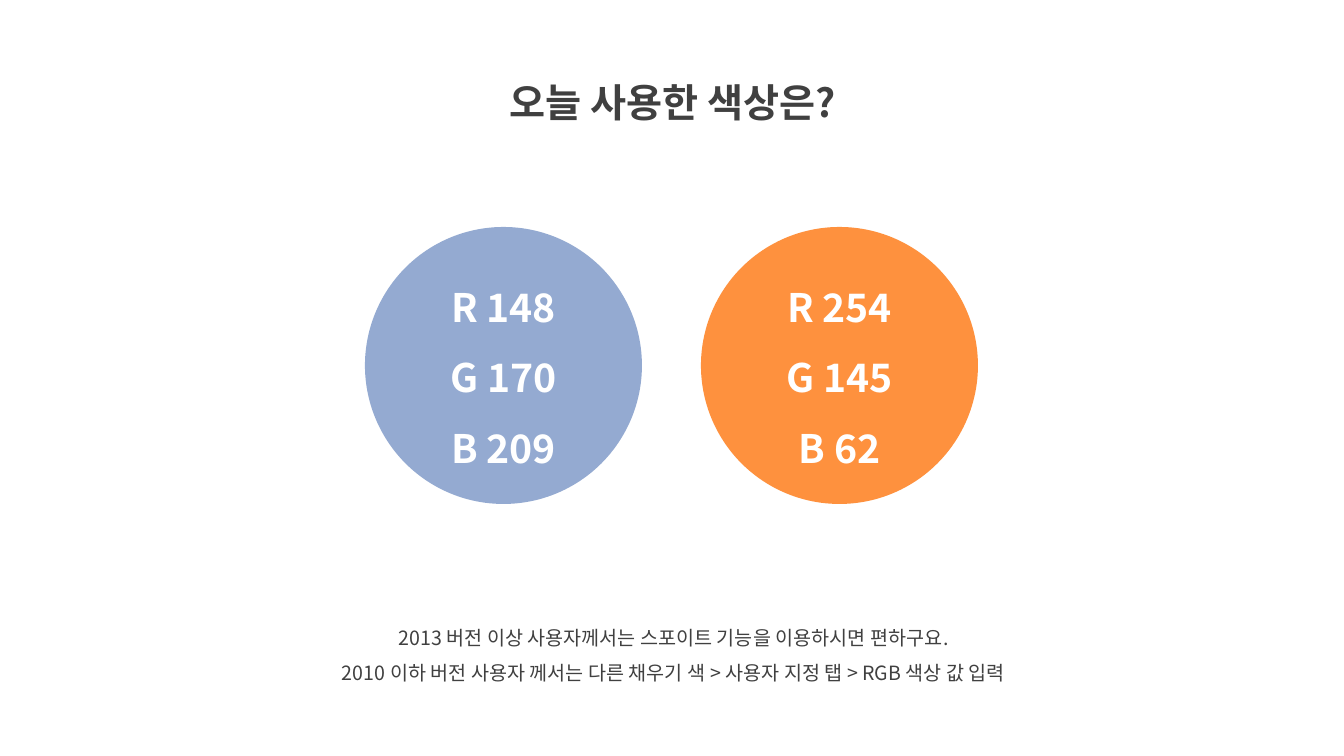
from dataclasses import dataclass

from lxml import etree
from pptx import Presentation, util as u
from pptx.dml.color import RGBColor
from pptx.enum import shapes, text
from pptx.oxml import ns
from pptx.slide import Slide
from pptx.text.text import TextFrame

PX = 914400 / 100.8
FONT = "Noto Sans CJK KR"
WHITE = RGBColor(0xFF, 0xFF, 0xFF)
DARK = RGBColor(0x40, 0x40, 0x40)
BLUE = RGBColor(148, 170, 209)
ORANGE = RGBColor(254, 145, 62)


@dataclass
class Caption:
    left: int
    top: int
    width: int
    height: int
    lines: list[str]
    size: int
    bold: bool = False


@dataclass
class Swatch:
    left: int
    color: RGBColor
    top: int = 227
    diameter: int = 277


def px(*lengths: int) -> list[u.Emu]:
    return [u.Emu(round(n * PX)) for n in lengths]


def write(tf: TextFrame, lines: list[str], *, size: int, color: RGBColor,
          bold: bool = False) -> None:
    tf.word_wrap = True
    for i, line in enumerate(lines):
        p = tf.add_paragraph() if i else tf.paragraphs[0]
        p.alignment = text.PP_ALIGN.CENTER
        p.line_spacing = 1.5
        r = p.add_run()
        r.text = line
        r.font.size = u.Pt(size)
        r.font.bold = bold
        r.font.color.rgb = color
        r.font.name = FONT
        etree.SubElement(r.font._element, ns.qn("a:ea"), typeface=FONT)


def add_caption(s: Slide, c: Caption) -> None:
    sp = s.shapes.add_textbox(*px(c.left, c.top, c.width, c.height))
    write(sp.text_frame, c.lines, size=c.size, color=DARK, bold=c.bold)
    sp.text_frame.auto_size = text.MSO_AUTO_SIZE.SHAPE_TO_FIT_TEXT


def add_swatch(s: Slide, w: Swatch) -> None:
    sp = s.shapes.add_shape(shapes.MSO_SHAPE.OVAL,
                            *px(w.left, w.top, w.diameter, w.diameter))
    sp.shadow.inherit = False
    sp.fill.solid()
    sp.fill.fore_color.rgb = w.color
    sp.line.fill.background()
    sp.text_frame.vertical_anchor = text.MSO_ANCHOR.MIDDLE
    channels = [f"{name} {value}" for name, value in zip("RGB", w.color)]
    write(sp.text_frame, channels, size=28, color=WHITE, bold=True)


CAPTIONS = [
    Caption(439, 50, 467, 73, ["오늘 사용한 색상은?"], 28, True),
    Caption(271, 609, 805, 82, [
        "2013 버전 이상 사용자께서는 스포이트 기능을 이용하시면 편하구요.",
        "2010 이하 버전 사용자 께서는 다른 채우기 색 > 사용자 지정 탭 > RGB 색상 값 입력",
    ], 14),
]
SWATCHES = [Swatch(365, BLUE), Swatch(701, ORANGE)]

prs = Presentation()
prs.slide_width, prs.slide_height = px(1344, 756)
s = prs.slides.add_slide(prs.slide_layouts[6])
for caption in CAPTIONS:
    add_caption(s, caption)
for swatch in SWATCHES:
    add_swatch(s, swatch)
prs.save("out.pptx")
